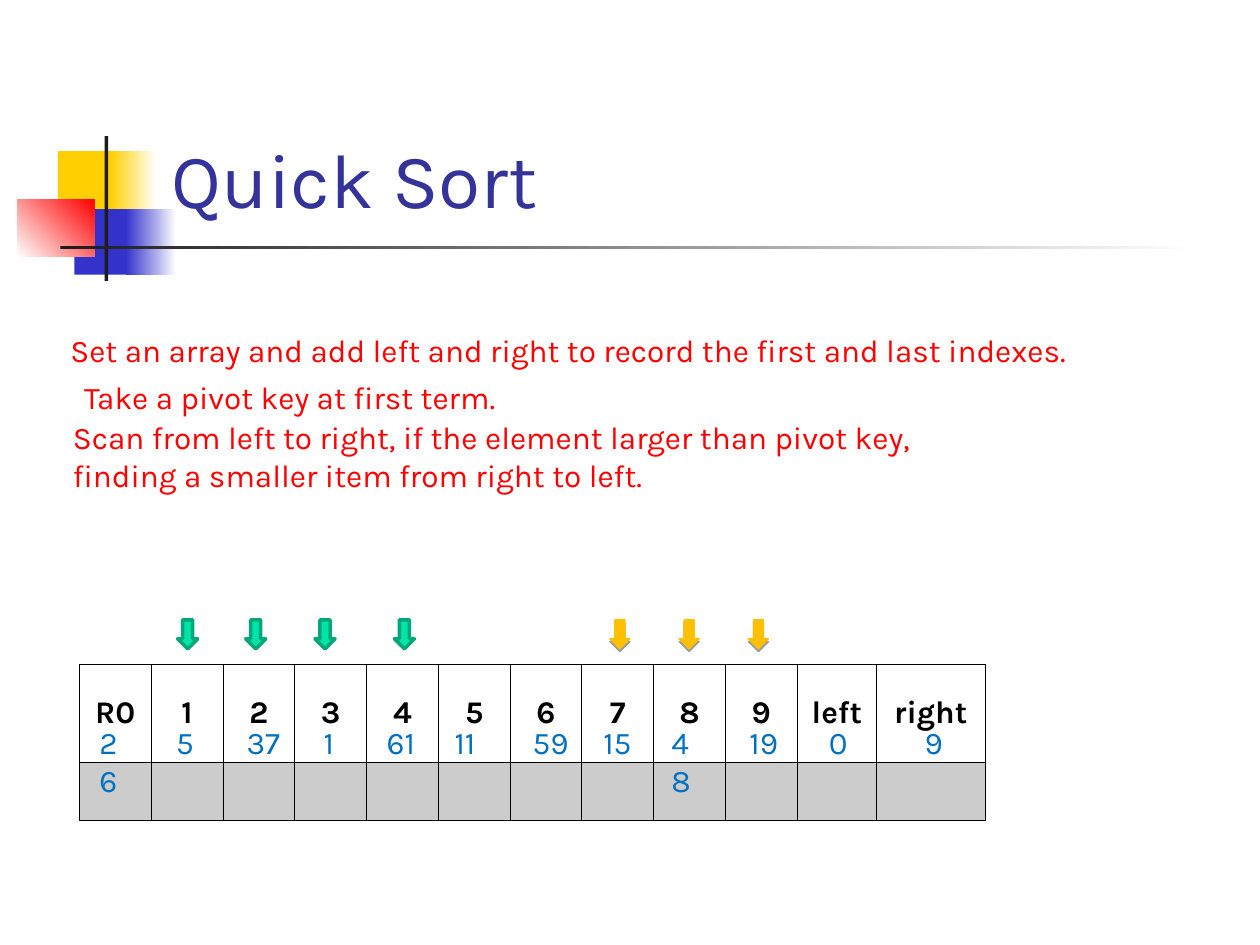
import pptx
import pptx.util
import pptx.dml.color
import pptx.enum.shapes
import pptx.enum.text
import pptx.oxml
import pptx.oxml.ns

WIDTH, HEIGHT = 10, 7.5
FONT = "Karla"
MIDDLE = pptx.enum.text.MSO_ANCHOR.MIDDLE
RED_TEXT = {"size": 18, "color": "FF0000"}
VALUE_TEXT = {"size": 18, "color": "0070C0"}
HEADER_TEXT = {"size": 18, "color": "000000", "bold": True}

# left, top, width, height, colours (two make a gradient), gradient angle
ORNAMENTS = [
    (0.46, 1.2, 0.48, 0.52, ["FFCF01"], 0),
    (0.88, 1.2, 0.36, 0.52, ["FFCF01", "FFFFFF"], 0),
    (0.59, 1.66, 0.46, 0.52, ["3333CC"], 0),
    (1, 1.66, 0.4, 0.52, ["3333CC", "FFFFFF"], 0),
    (0.14, 1.58, 0.61, 0.46, ["FFFFFF", "FF0000"], 45),
    (0.83, 1.08, 0.03, 1.15, ["1C1C1C"], 0),
    (0.48, 1.95, 9, 0.03, ["1C1C1C", "FFFFFF"], 0),
]
STEPS = [
    (0.46, 2.58, 8.38, ["Set an array and add left and right to record the first and last indexes."]),
    (0.57, 2.95, 3.6, ["Take a pivot key at first term."]),
    (0.48, 3.27, 7.1, ["Scan from left to right, if the element larger than pivot key,",
                       "finding a smaller item from right to left."]),
]
HEADERS = ["R0", *"123456789", "left", "right"]
COLUMN_WIDTHS = [0.57] * 10 + [0.63, 0.86]
ROW_HEIGHTS = [0.78, 0.46]
TABLE_LEFT, TABLE_TOP = 0.63, 5.27
VALUES = ["26", "5", "37", "1", "61", "11", "59", "15", "48", "19", "0", "9"]
VALUE_LEFTS = [0.69, 1.3, 1.86, 2.47, 2.97, 3.51, 4.13, 4.69, 5.23, 5.85, 6.48, 7.24]
VALUE_TOP = 5.69
STACKED_VALUES = {"26", "48"}  # boxes too narrow for both digits on a line
ARROW_TOP, ARROW_WIDTH, ARROW_HEIGHT = 4.92, 0.16, 0.23
ARROWS = [
    {"lefts": [1.41, 1.95, 2.5, 3.13], "fill": "00E4A8", "line": "00A77A", "weight": 2, "shadow": False},
    {"lefts": [4.84, 5.39, 5.94], "fill": "FFC000", "line": "FFC000", "weight": 0.75, "shadow": True},
]


def color(value):
    return pptx.dml.color.RGBColor.from_string(value)


def inches(*lengths):
    return [pptx.util.Inches(length) for length in lengths]


def xml(markup):
    """Parse one element whose opening tag has a {ns} slot."""
    return pptx.oxml.parse_xml(markup.replace("{ns}", pptx.oxml.ns.nsdecls("a")))


def write(frame, lines, style):
    for index, line in enumerate(lines):
        paragraph = frame.paragraphs[0] if index == 0 else frame.add_paragraph()
        paragraph.text = line
        font = paragraph.font
        formats = {"name": FONT, "size": pptx.util.Pt(style["size"]), "bold": style.get("bold", False)}
        for name, value in formats.items():
            setattr(font, name, value)
        font.color.rgb = color(style["color"])


def add_text(slide, left, top, width, lines, style):
    box = slide.shapes.add_textbox(*inches(left, top, width, 0.1 + 0.3 * len(lines)))
    box.text_frame.word_wrap = True
    write(box.text_frame, lines, style)


def add_ornament(slide, left, top, width, height, colors, angle):
    shape = slide.shapes.add_shape(
        pptx.enum.shapes.MSO_SHAPE.RECTANGLE, *inches(left, top, width, height))
    shape.shadow.inherit = False
    shape.line.fill.background()
    if len(colors) == 1:
        shape.fill.solid()
        shape.fill.fore_color.rgb = color(colors[0])
        return
    shape.fill.gradient()
    shape.fill.gradient_angle = angle
    for stop, position, value in zip(shape.fill.gradient_stops, (0, 1), colors):
        stop.position = position
        stop.color.rgb = color(value)


def add_title(slide):
    title = slide.shapes.title
    title.left, title.top, title.width, title.height = inches(1.26, 0.23, 8.52, 1.6)
    frame = title.text_frame
    frame.auto_size = pptx.enum.text.MSO_AUTO_SIZE.NONE
    frame.vertical_anchor = pptx.enum.text.MSO_ANCHOR.BOTTOM
    write(frame, ["Quick Sort"], {"size": 44, "color": "333399"})
    frame.paragraphs[0].alignment = pptx.enum.text.PP_ALIGN.LEFT


def add_borders(cell, weights):
    for side, weight in weights.items():
        cell._tc.get_or_add_tcPr().append(xml(
            f'<a:ln{side} {{ns}} w="{round(weight * 12700)}"><a:solidFill>'
            f'<a:srgbClr val="000000"/></a:solidFill></a:ln{side}>'))


def add_array(slide):
    table = slide.shapes.add_table(
        len(ROW_HEIGHTS), len(HEADERS),
        *inches(TABLE_LEFT, TABLE_TOP, sum(COLUMN_WIDTHS), sum(ROW_HEIGHTS))).table
    table.first_row = table.horz_banding = False
    for row, height in zip(table.rows, ROW_HEIGHTS):
        row.height = pptx.util.Inches(height)
    for index, (header, width) in enumerate(zip(HEADERS, COLUMN_WIDTHS)):
        table.columns[index].width = pptx.util.Inches(width)
        top, bottom = table.cell(0, index), table.cell(1, index)
        add_borders(top, {"L": 0.45, "R": 0.45, "T": 0.45, "B": 0.96})
        add_borders(bottom, {"L": 0.45, "R": 0.45, "T": 0.96, "B": 0.45})
        top.fill.background()
        top.vertical_anchor = MIDDLE
        write(top.text_frame, [header], HEADER_TEXT)
        top.text_frame.paragraphs[0].alignment = pptx.enum.text.PP_ALIGN.CENTER
        bottom.fill.solid()
        bottom.fill.fore_color.rgb = color("000000")
        shade = next(bottom._tc.tcPr.iterchildren(pptx.oxml.ns.qn("a:solidFill")))[0]
        shade.append(xml('<a:alpha {ns} val="20000"/>'))


def add_values(slide):
    for value, left in zip(VALUES, VALUE_LEFTS):
        width = 0.45 if value in STACKED_VALUES else 0.2 + 0.15 * len(value)
        add_text(slide, left, VALUE_TOP, width, [value], VALUE_TEXT)


def add_arrow(slide, left, group):
    arrow = slide.shapes.add_shape(
        pptx.enum.shapes.MSO_SHAPE.DOWN_ARROW, *inches(left, ARROW_TOP, ARROW_WIDTH, ARROW_HEIGHT))
    arrow.shadow.inherit = False
    arrow.fill.solid()
    arrow.fill.fore_color.rgb = color(group["fill"])
    arrow.line.color.rgb = color(group["line"])
    arrow.line.width = pptx.util.Pt(group["weight"])
    if group["shadow"]:
        effects = arrow._element.spPr.find(pptx.oxml.ns.qn("a:effectLst"))
        effects.append(xml(
            '<a:outerShdw {ns} blurRad="0" dist="20320" dir="5400000" rotWithShape="0">'
            '<a:srgbClr val="000000"><a:alpha val="38000"/></a:srgbClr></a:outerShdw>'))


def main():
    presentation = pptx.Presentation()
    presentation.slide_width, presentation.slide_height = inches(WIDTH, HEIGHT)
    slide = presentation.slides.add_slide(presentation.slide_layouts.get_by_name("Title Only"))
    for ornament in ORNAMENTS:
        add_ornament(slide, *ornament)
    add_title(slide)
    add_array(slide)
    for step in STEPS:
        add_text(slide, *step, RED_TEXT)
    add_values(slide)
    for group in ARROWS:
        for left in group["lefts"]:
            add_arrow(slide, left, group)
    presentation.save("out.pptx")


if __name__ == "__main__":
    main()
